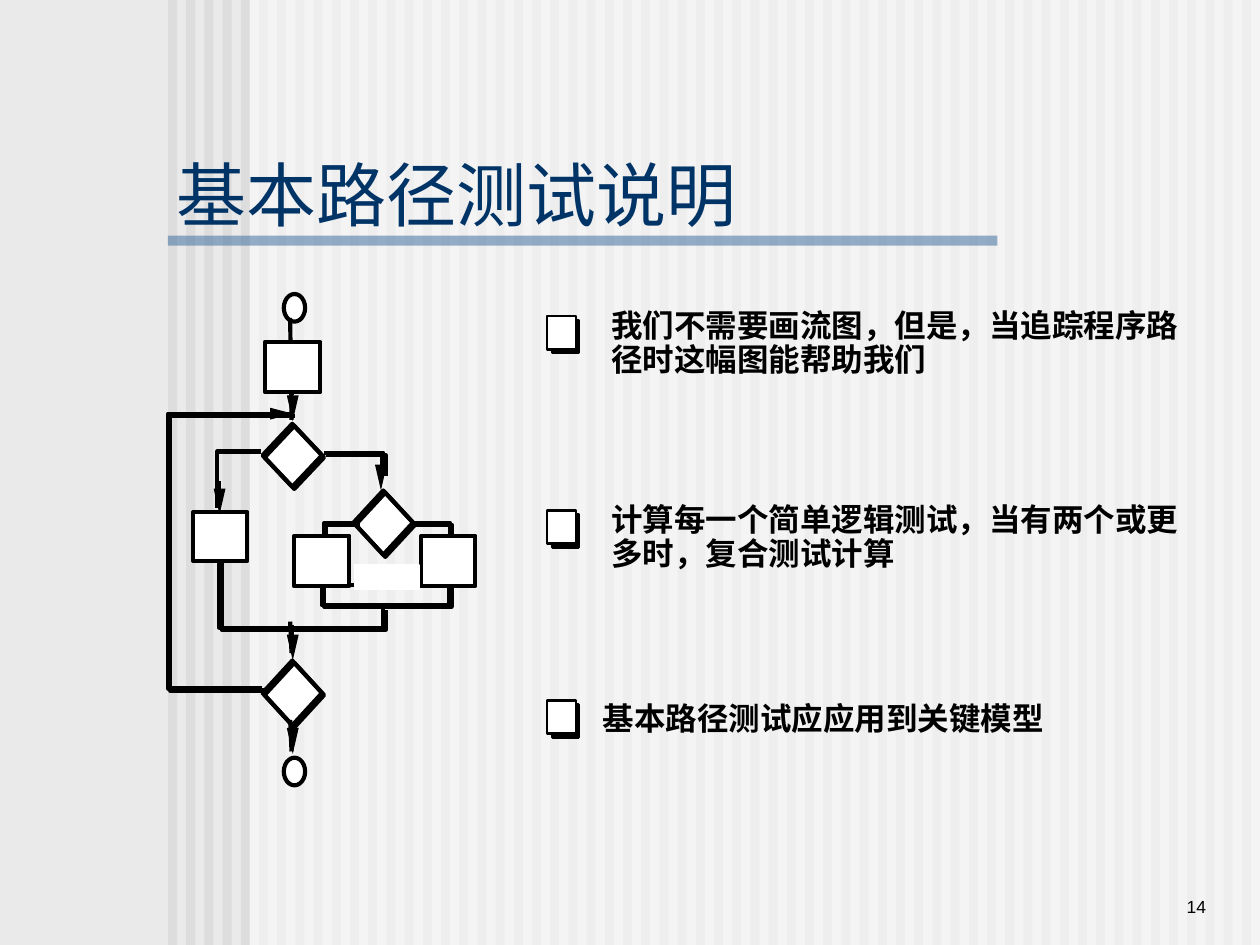
from lxml import etree
from pptx import Presentation
from pptx.dml.color import RGBColor
from pptx.enum.shapes import MSO_CONNECTOR, MSO_SHAPE
from pptx.enum.text import MSO_ANCHOR, PP_ALIGN
from pptx.oxml.ns import qn
from pptx.util import Pt

RECTANGLE, DIAMOND, OVAL = MSO_SHAPE.RECTANGLE, MSO_SHAPE.DIAMOND, MSO_SHAPE.OVAL
STRAIGHT = MSO_CONNECTOR.STRAIGHT
TOP, BOTTOM = MSO_ANCHOR.TOP, MSO_ANCHOR.BOTTOM
LEFT, RIGHT = PP_ALIGN.LEFT, PP_ALIGN.RIGHT

BLACK = RGBColor(0x00, 0x00, 0x00)
WHITE = RGBColor(0xFF, 0xFF, 0xFF)
PAPER = RGBColor(0xEA, 0xEA, 0xEA)
STRIPE = RGBColor(0xDD, 0xDD, 0xDD)
RULE = RGBColor(0x33, 0x66, 0x99)
NAVY = RGBColor(0x00, 0x33, 0x66)

THICK, THIN = 2.38, 1.39
DOUBLE = 1.2

TITLE_FONT = {"name": "Arial", "size": Pt(40)}
POINT_FONT = {"name": "Arial", "size": Pt(18), "bold": True}
NUMBER_FONT = {"name": "Arial", "size": Pt(10)}

DIAMONDS = [(106, 112.3, 34, 36.7), (54, 74.2, 34, 36), (54, 209.5, 34, 37)]
TERMINALS = [(66.2, 0, 12.2, 15.8), (66.2, 265, 12.2, 15.8)]
STEPS = [
    (55.4, 27.4, 31.7, 28.8),
    (72, 138.2, 31.7, 28.8),
    (144.7, 138.2, 31, 28.8),
    (14.4, 124.6, 31, 28),
]
DOUBLE_PATHS = [
    [(89.3, 90.7), (123.1, 90.7), (123.1, 103)],
    [(139.7, 131), (161.3, 131), (161.3, 149)],
    [(108.7, 131), (89.3, 131), (89.3, 154.8)],
    [(54, 225.4), (0, 225.4), (0, 68.4), (71.3, 68.4)],
    [(123.1, 179.3), (123.1, 190.8), (29.5, 190.8), (29.5, 152.6)],
]
SINGLE_PATHS = [
    [(53.3, 90), (28.1, 90), (28.1, 122.4)],
    [(89.3, 167), (89.3, 178.6), (162, 178.6), (162, 167)],
]
JOIN = (87.8, 166.3, 72.7, 11.5)
STEMS = [(13.7, 72), (187.2, 205.2), (243.4, 261.4)]
DOWN_ARROWS = [
    (121.7, 112.3, 7.2),
    (29.5, 126, 4.3),
    (71.3, 209.5, 5.8),
    (71.3, 72.7, 0.7),
    (71.3, 262.8, 0.7),
]
GAP_COVER = (106.6, 154.8, 36.7, 13.7)

POINTS = [
    (0, 36.5, ["我们不需要画流图，但是，当追踪程序路", "径时这幅图能帮助我们"]),
    (111, 36.5, ["计算每一个简单逻辑测试，当有两个或更", "多时，复合测试计算"]),
    (219.6, 31.7, ["基本路径测试应应用到关键模型"]),
]


def paint(shape, fill, line, width):
    shape.shadow.inherit = False
    if fill is None:
        shape.fill.background()
    else:
        shape.fill.solid()
        shape.fill.fore_color.rgb = fill
    if line is None:
        shape.line.fill.background()
    else:
        shape.line.color.rgb = line
        shape.line.width = Pt(width)


def add_block(slide, origin, box, fill=None, line=None, width=THICK, kind=RECTANGLE):
    left, top, wide, high = box
    shape = slide.shapes.add_shape(
        kind, Pt(origin[0] + left), Pt(origin[1] + top), Pt(wide), Pt(high))
    paint(shape, fill, line, width)
    return shape


def make_translucent(shape, percent):
    color = shape.fill._xPr.find(qn("a:solidFill"))[0]
    etree.SubElement(color, qn("a:alpha")).set("val", str(percent * 1000))


def add_path(slide, origin, points, fill=None, line=None, closed=False):
    spots = [(Pt(origin[0] + x), Pt(origin[1] + y)) for x, y in points]
    builder = slide.shapes.build_freeform(*spots[0])
    builder.add_line_segments(spots[1:], close=closed)
    paint(builder.convert_to_shape(), fill, line, THICK)


def add_line(slide, origin, start, end, width):
    x, y = origin
    line = slide.shapes.add_connector(
        STRAIGHT, Pt(x + start[0]), Pt(y + start[1]), Pt(x + end[0]), Pt(y + end[1]))
    line.line.color.rgb = BLACK
    line.line.width = Pt(width)
    etree.SubElement(line._element.spPr, qn("a:effectLst"))


def add_text(slide, box, lines, font_format, color, insets=(0, 0), anchor=TOP,
             align=LEFT, wrap=False, spacing=1.0):
    frame = slide.shapes.add_textbox(*map(Pt, box)).text_frame
    across, down = map(Pt, insets)
    frame_format = {
        "margin_left": across, "margin_right": across, "margin_top": down,
        "margin_bottom": down, "vertical_anchor": anchor, "word_wrap": wrap,
    }
    for name, value in frame_format.items():
        setattr(frame, name, value)
    for index, words in enumerate(lines):
        paragraph = frame.add_paragraph() if index else frame.paragraphs[0]
        paragraph.alignment = align
        paragraph.line_spacing = spacing
        run = paragraph.add_run()
        run.text = words
        for name, value in font_format.items():
            setattr(run.font, name, value)
        run.font.color.rgb = color


def draw_backdrop(slide, left, top, width, height):
    slide.background.fill.solid()
    slide.background.fill.fore_color.rgb = PAPER
    origin, count = (left, top), 60
    pitch = width / count
    for index in range(count):
        add_block(slide, origin, (index * pitch, 0, pitch / 2, height), STRIPE)
    veil_left = 46.6
    veil = add_block(slide, origin, (veil_left, 0, width - veil_left, height), WHITE)
    make_translucent(veil, 50)


def draw_title(slide, left, top, width, height):
    rule = add_block(slide, (left, top), (0, 50.4, 474, 5.8), RULE)
    make_translucent(rule, 50)
    add_text(slide, (left, top, width, height), ["基本路径测试说明"],
             TITLE_FONT, NAVY, (5, 2.2))


def draw_flowchart(slide, left, top):
    origin = (left, top)
    offset = (left + DOUBLE, top + DOUBLE)
    for box in DIAMONDS:
        add_block(slide, offset, box, WHITE, BLACK, kind=DIAMOND)
        add_block(slide, origin, box, None, BLACK, kind=DIAMOND)
    for box in TERMINALS:
        add_block(slide, origin, box, WHITE, BLACK, kind=OVAL)
    for points in DOUBLE_PATHS:
        for corner in (offset, origin):
            add_path(slide, corner, points, line=BLACK)
    for points in SINGLE_PATHS:
        add_path(slide, origin, points, line=BLACK)
    add_block(slide, origin, JOIN, None, BLACK)
    for start, end in STEMS:
        add_line(slide, origin, (69.8, start), (70.6, end), THICK)
    for box in STEPS:
        add_block(slide, origin, box, WHITE, BLACK)
    length, half = 14.8, 3.4
    for x, y, stub in DOWN_ARROWS:
        base = y - length
        add_path(slide, origin, [(x, y), (x - half, base), (x + half, base)], BLACK, closed=True)
        add_line(slide, origin, (x, base - stub), (x, base), THIN)
    x, y = 71.3, 68.4
    base = x - 13
    add_path(slide, origin, [(x, y), (base, y + half), (base, y - half)], BLACK, closed=True)
    add_line(slide, origin, (base - 2.2, y), (base, y), THIN)
    add_block(slide, origin, GAP_COVER, WHITE, WHITE, 1)


def draw_points(slide, left, top, width):
    for drop, indent, lines in POINTS:
        origin = (left, top + drop)
        add_block(slide, origin, (2.9, 5.8, 15.1, 19), BLACK, BLACK, THIN)
        add_block(slide, origin, (0, 3.6, 16.6, 19), WHITE, BLACK, THIN)
        text_box = (left + indent, origin[1] + (0 if len(lines) > 1 else 5),
                    width - indent, 19.4 * len(lines))
        add_text(slide, text_box, lines, POINT_FONT, BLACK, spacing=0.9)


def draw_page_number(slide, left, top, width, height):
    add_text(slide, (left, top, width, height), ["14"], NUMBER_FONT, BLACK,
             (7.2, 3.6), BOTTOM, RIGHT, True)


def main():
    deck = Presentation()
    deck.slide_width, deck.slide_height = Pt(720), Pt(540)
    slide = deck.slides.add_slide(deck.slide_layouts[6])
    draw_backdrop(slide, 96, 0, 624, 540)
    draw_title(slide, 96, 84.2, 333.4, 52.6)
    draw_page_number(slide, 594, 491.8, 102.2, 36)
    draw_flowchart(slide, 96, 168)
    draw_points(slide, 312.7, 177.1, 360.5)
    deck.save("out.pptx")


if __name__ == "__main__":
    main()
